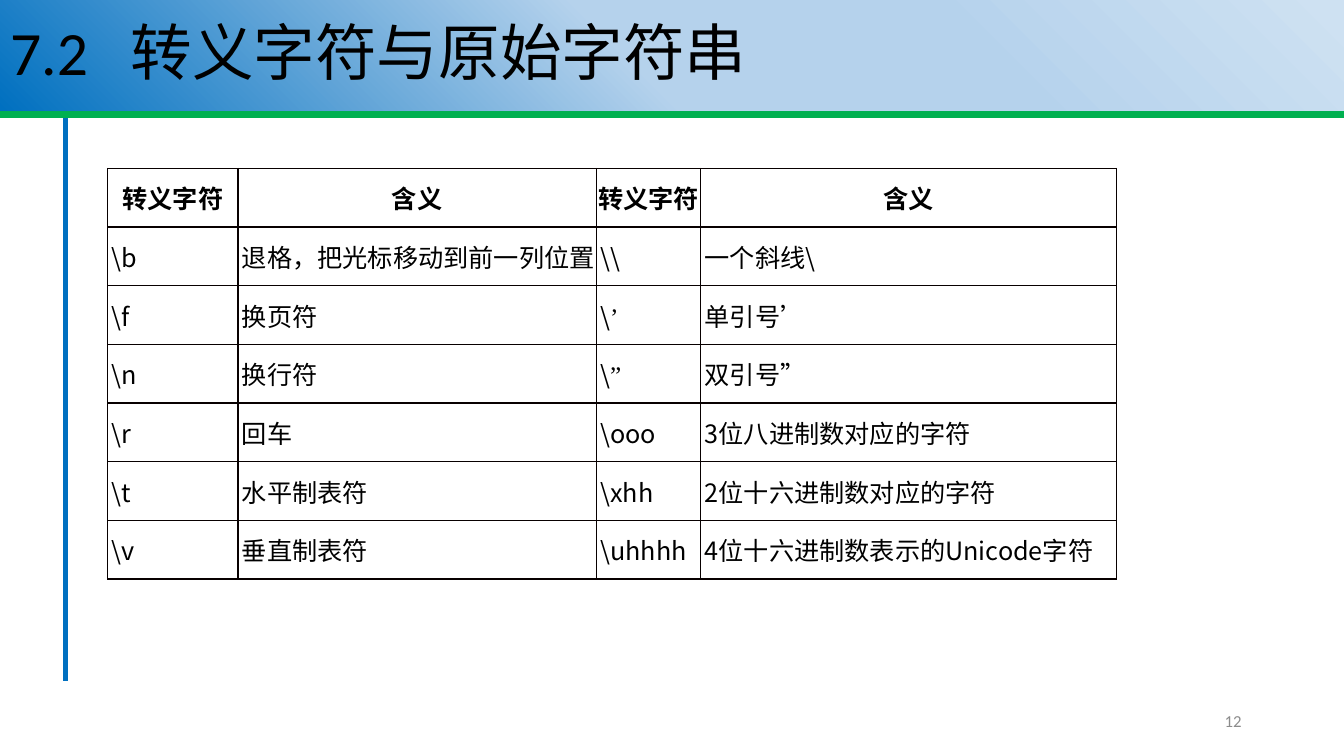
from dataclasses import dataclass

from lxml.etree import SubElement
from pptx import Presentation
from pptx.dml.color import RGBColor
from pptx.enum.shapes import MSO_CONNECTOR
from pptx.enum.text import MSO_ANCHOR, MSO_AUTO_SIZE, PP_ALIGN
from pptx.oxml.ns import qn
from pptx.util import Pt


@dataclass(frozen=True)
class Theme:
    latin: str = "Calibri"
    chinese: str = "Noto Sans CJK SC"
    quote: str = "Times New Roman"
    title_size: int = 44
    table_size: int = 18
    number_size: int = 12
    text: str = "000000"
    number: str = "8C8C8C"
    border: str = "080000"
    green: str = "00B050"
    blue: str = "0070C0"
    banner: tuple = ((1, "CEE1F2"), (29, "B5D2EC"), (53, "B5D2EC"), (100, "0070C0"))


THEME = Theme()


def style(paragraph, size, latin, color=THEME.text, bold=False):
    """Set the paragraph font, including the one for Chinese characters."""
    font = paragraph.font
    font.size, font.name, font.bold = Pt(size), latin, bold
    font.color.rgb = RGBColor.from_string(color)
    SubElement(paragraph._p.pPr.find(qn("a:defRPr")), qn("a:ea"), typeface=THEME.chinese)


def add_color(parent, color):
    SubElement(parent, qn("a:srgbClr"), val=color)


prs = Presentation()
prs.slide_width, prs.slide_height = Pt(960), Pt(540)
slide = prs.slides.add_slide(prs.slide_layouts[5])

# Title banner
title = slide.shapes.title
title.left, title.top, title.width, title.height = Pt(0), Pt(0), Pt(960), Pt(79.5)
gradient = SubElement(title._element.spPr, qn("a:gradFill"), rotWithShape="1")
stops = SubElement(gradient, qn("a:gsLst"))
for percent, color in THEME.banner:
    add_color(SubElement(stops, qn("a:gs"), pos=str(percent * 1000)), color)
SubElement(gradient, qn("a:lin"), ang=str(135 * 60000), scaled="0")

title.text_frame.text = "7.2\t转义字符与原始字符串"
title.text_frame.auto_size = MSO_AUTO_SIZE.NONE
title.text_frame.vertical_anchor = MSO_ANCHOR.MIDDLE
heading = title.text_frame.paragraphs[0]
heading.alignment = PP_ALIGN.LEFT
heading.line_spacing = 0.9
tabs = SubElement(heading._p.pPr, qn("a:tabLst"))
SubElement(tabs, qn("a:tab"), pos=str(Pt(86)), algn="l")
style(heading, THEME.title_size, THEME.latin)

# Rules below the banner and along the left margin
for x1, y1, x2, y2, color, width in (
    (46.8, 83.5, 46.8, 486.7, THEME.blue, 3.75),
    (0, 82, 960, 82, THEME.green, 5.25),
):
    rule = slide.shapes.add_connector(MSO_CONNECTOR.STRAIGHT, Pt(x1), Pt(y1), Pt(x2), Pt(y2))
    rule.line.color.rgb = RGBColor.from_string(color)
    rule.line.width = Pt(width)
    SubElement(rule._element.spPr, qn("a:effectLst"))

# Escape sequences
rows = (
    ("转义字符", "含义", "转义字符", "含义"),
    ("\\b", "退格，把光标移动到前一列位置", "\\\\", "一个斜线\\"),
    ("\\f", "换页符", "\\’", "单引号’"),
    ("\\n", "换行符", "\\”", "双引号”"),
    ("\\r", "回车", "\\ooo", "3位八进制数对应的字符"),
    ("\\t", "水平制表符", "\\xhh", "2位十六进制数对应的字符"),
    ("\\v", "垂直制表符", "\\uhhhh", "4位十六进制数表示的Unicode字符"),
)
widths = (93, 256, 74.5, 297)
row_height = 41.75
table = slide.shapes.add_table(
    len(rows), len(widths), Pt(77), Pt(120.3), Pt(sum(widths)), Pt(row_height * len(rows))
).table
table.first_row = table.horz_banding = False
for column, width in zip(table.columns, widths):
    column.width = Pt(width)

for r, texts in enumerate(rows):
    table.rows[r].height = Pt(row_height)
    is_header = r == 0
    for c, text in enumerate(texts):
        cell = table.cell(r, c)
        cell.margin_left = Pt(0 if is_header else 2.88)
        cell.margin_right = Pt(0)
        cell.margin_top = cell.margin_bottom = Pt(7.92)
        cell.vertical_anchor = MSO_ANCHOR.MIDDLE

        entry = cell.text_frame.paragraphs[0]
        entry.alignment = PP_ALIGN.CENTER if is_header else PP_ALIGN.LEFT
        style(entry, THEME.table_size, THEME.chinese, bold=is_header)
        body = text.rstrip("’”")
        entry.add_run().text = body
        if body != text:
            quote = entry.add_run()
            quote.text = text[len(body):]
            quote.font.name = THEME.quote

        properties = cell._tc.get_or_add_tcPr()
        for side in ("lnL", "lnR", "lnT", "lnB"):
            border = SubElement(properties, qn(f"a:{side}"), w=str(Pt(1)))
            add_color(SubElement(border, qn("a:solidFill")), THEME.border)
        cell.fill.background()

# Page number
page = slide.shapes.add_textbox(Pt(678), Pt(500.5), Pt(216), Pt(28.75)).text_frame
page.word_wrap = True
page.vertical_anchor = MSO_ANCHOR.MIDDLE
page.text = "12"
page.paragraphs[0].alignment = PP_ALIGN.RIGHT
style(page.paragraphs[0], THEME.number_size, THEME.latin, THEME.number)

prs.save("out.pptx")
